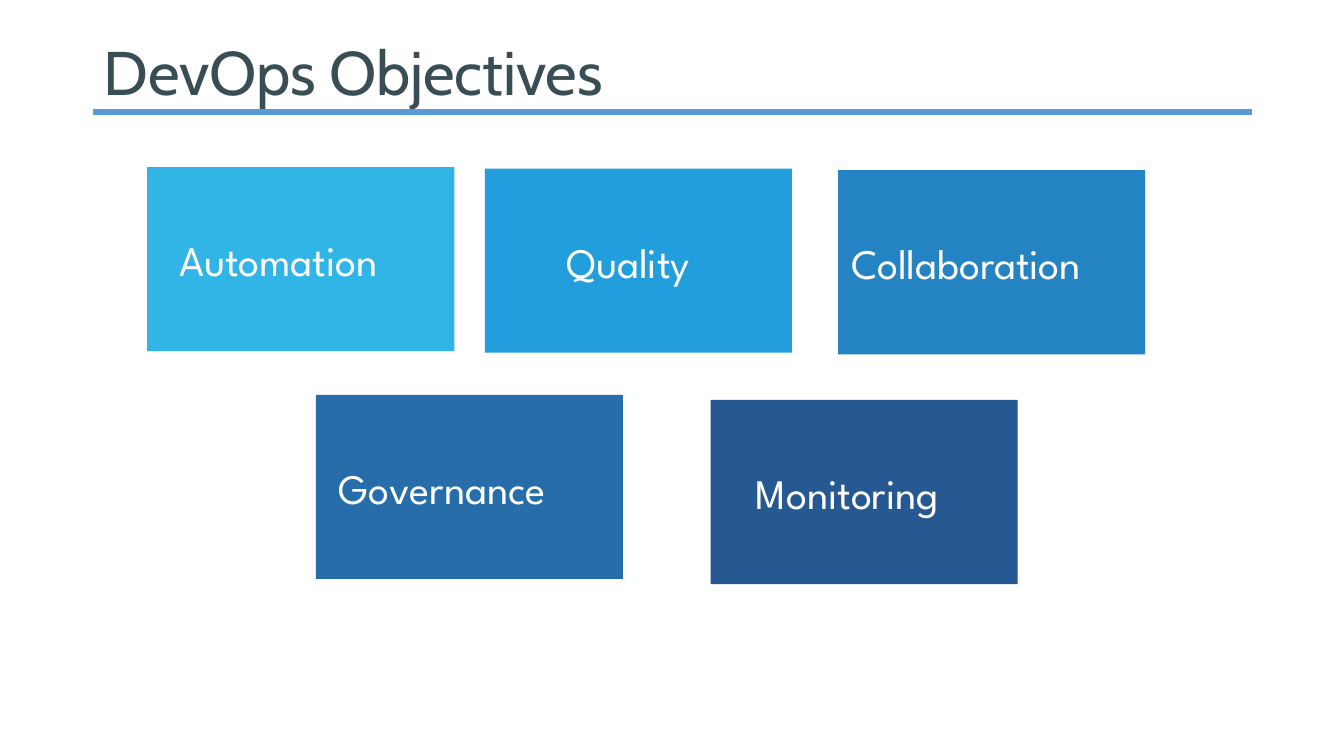
from pptx import Presentation
from pptx.dml.color import RGBColor
from pptx.enum.shapes import MSO_CONNECTOR, MSO_SHAPE
from pptx.enum.text import MSO_ANCHOR, MSO_AUTO_SIZE, PP_ALIGN
from pptx.oxml import parse_xml
from pptx.oxml.ns import nsdecls
from pptx.util import Cm, Pt

WHITE = RGBColor(0xFF, 0xFF, 0xFF)
SLATE = RGBColor(0x39, 0x4D, 0x54)
RULE_BLUE = RGBColor(0x5B, 0x9B, 0xD5)
SKY = RGBColor(0x31, 0xB4, 0xE6)
AZURE = RGBColor(0x22, 0x9E, 0xDD)
OCEAN = RGBColor(0x24, 0x83, 0xC3)
STEEL = RGBColor(0x26, 0x6D, 0xA9)
NAVY = RGBColor(0x26, 0x59, 0x91)

BOX_WIDTH, BOX_HEIGHT = 7.74, 4.64
OBJECTIVES = [
    ("Automation", 3.71, 4.21, 0.81, SKY),
    ("Quality", 12.22, 4.25, 2.06, AZURE),
    ("Collaboration", 21.12, 4.29, 0.33, OCEAN),
    ("Governance", 7.96, 9.95, 0.58, STEEL),
    ("Monitoring", 17.91, 10.08, 1.14, NAVY),
]


class SlideBuilder:
    title_format = {"name": "Cabin", "size": Pt(44), "bold": False}
    label_format = {"name": "League Spartan", "size": Pt(30), "bold": False}
    label_top = 1.7

    def __init__(self, presentation):
        self.slide = presentation.slides.add_slide(presentation.slide_layouts[5])

    def set_text(self, shape, text, color, font_format, anchor, left=0, top=0):
        frame = shape.text_frame
        frame_format = {
            "margin_left": Cm(left), "margin_top": Cm(top),
            "margin_right": 0, "margin_bottom": 0,
            "word_wrap": True, "auto_size": MSO_AUTO_SIZE.NONE,
            "vertical_anchor": anchor,
        }
        for name, value in frame_format.items():
            setattr(frame, name, value)
        paragraph = frame.paragraphs[0]
        paragraph.alignment = PP_ALIGN.LEFT
        run = paragraph.add_run()
        run.text = text
        for name, value in font_format.items():
            setattr(run.font, name, value)
        run.font.color.rgb = color
        run._r.get_or_add_rPr().set("spc", "-10")

    def title(self, text, left, top, width, height):
        shape = self.slide.shapes.title
        position = {"left": left, "top": top, "width": width, "height": height}
        for name, value in position.items():
            setattr(shape, name, Cm(value))
        self.set_text(shape, text, SLATE, self.title_format, MSO_ANCHOR.MIDDLE)

    def rule(self, left, right, top):
        connector = self.slide.shapes.add_connector(
            MSO_CONNECTOR.STRAIGHT, Cm(left), Cm(top), Cm(right), Cm(top))
        connector.line.color.rgb = RULE_BLUE
        connector.line.width = Pt(3.75)
        connector._element.spPr.append(parse_xml(f"<a:effectLst {nsdecls('a')}/>"))

    def box(self, text, left, top, indent, color):
        shape = self.slide.shapes.add_shape(
            MSO_SHAPE.RECTANGLE, Cm(left), Cm(top), Cm(BOX_WIDTH), Cm(BOX_HEIGHT))
        shape.shadow.inherit = False
        shape.fill.solid()
        shape.fill.fore_color.rgb = color
        shape.line.fill.background()
        self.set_text(shape, text, WHITE, self.label_format, MSO_ANCHOR.TOP,
                      indent, self.label_top)


def main():
    presentation = Presentation()
    presentation.slide_width = Cm(33.87)
    presentation.slide_height = Cm(19.05)
    builder = SlideBuilder(presentation)
    builder.rule(2.34, 31.55, 2.82)
    builder.title("DevOps Objectives", 2.62, 0.84, 28.93, 1.88)
    for objective in OBJECTIVES:
        builder.box(*objective)
    presentation.save("out.pptx")


if __name__ == "__main__":
    main()
